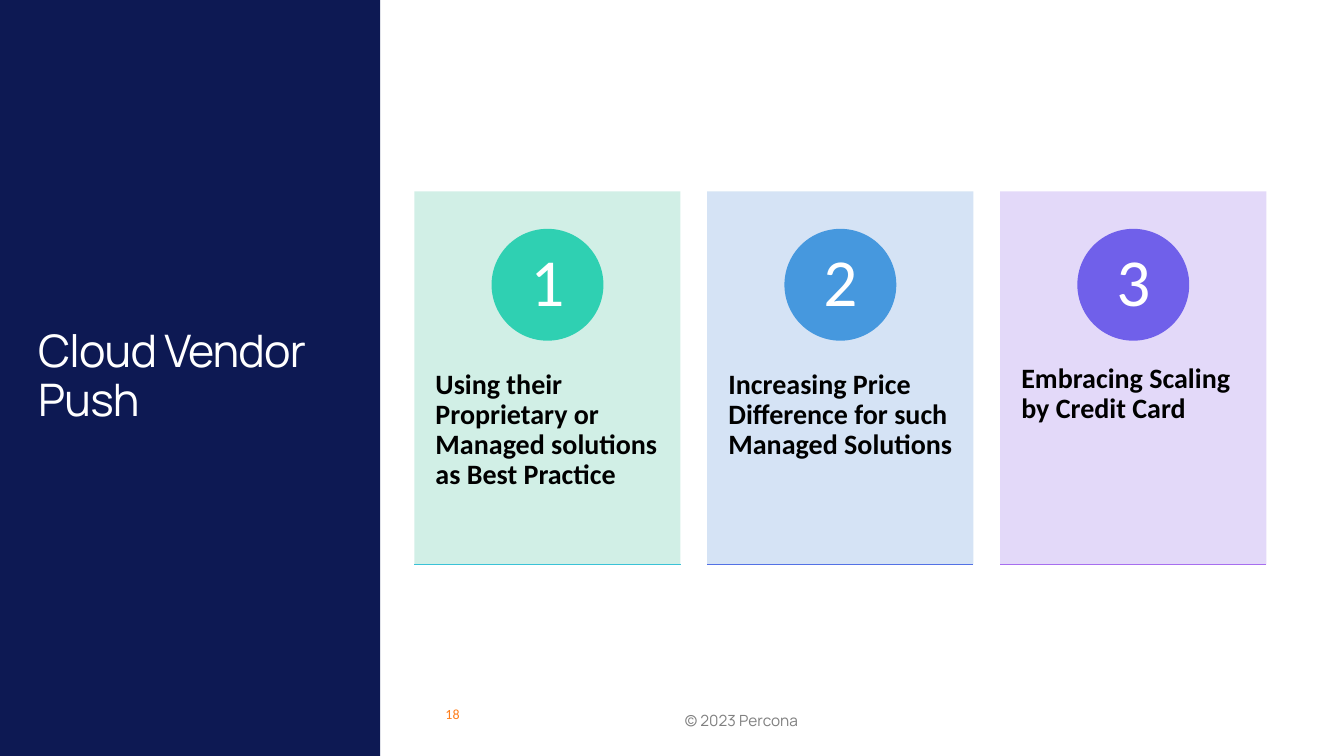
from lxml import etree
from pptx import Presentation
from pptx.dml.color import RGBColor
from pptx.enum.shapes import MSO_CONNECTOR as Connector, MSO_SHAPE as Shape
from pptx.enum.text import MSO_ANCHOR as Anchor, PP_ALIGN as Align
from pptx.oxml.ns import qn
from pptx.util import Inches, Pt

NAVY = RGBColor(0x0D, 0x19, 0x53)
WHITE = RGBColor(0xFF, 0xFF, 0xFF)
BLACK = RGBColor(0x00, 0x00, 0x00)
GRAY = RGBColor(0x80, 0x80, 0x80)
ORANGE = RGBColor(0xFF, 0x7E, 0x19)
MINT = RGBColor(0xCD, 0xEE, 0xE4)
GREEN = RGBColor(0x2F, 0xD0, 0xB2)
TEAL = RGBColor(0x3A, 0xC2, 0xD7)
PALE_BLUE = RGBColor(0xD1, 0xE1, 0xF4)
SKY = RGBColor(0x46, 0x98, 0xDE)
BLUE = RGBColor(0x53, 0x71, 0xE5)
LILAC = RGBColor(0xE1, 0xD5, 0xF9)
VIOLET = RGBColor(0x70, 0x60, 0xEA)
PURPLE = RGBColor(0xA7, 0x6E, 0xEF)

# Wording, card colour, badge colour, base line colour
CARDS = [
    ("Using their Proprietary or Managed solutions as Best Practice", MINT, GREEN, TEAL),
    ("Increasing Price Difference for such Managed Solutions", PALE_BLUE, SKY, BLUE),
    ("Embracing Scaling by Credit Card", LILAC, VIOLET, PURPLE),
]
CARD_LEFT, CARD_TOP, CARD_WIDTH, CARD_HEIGHT = 4.11, 1.9, 2.64, 3.7
CARD_STEP = 2.905
BADGE_SIZE, NUMBER_SIZE = 1.11, 0.78


class SlideBuilder:
    heading_font = "Manrope"
    body_font = "Calibri"
    line_width = Pt(0.85)

    def __init__(self, page):
        self.page = page

    def shape(self, kind, left, top, width, height, color, opacity=None):
        """Add a filled shape; opacity is a percentage."""
        shape = self.page.shapes.add_shape(
            kind, Inches(left), Inches(top), Inches(width), Inches(height))
        shape.shadow.inherit = False
        shape.fill.solid()
        shape.fill.fore_color.rgb = color
        shape.line.fill.background()
        if opacity:
            fill_color = shape.fill._xPr.find(qn("a:solidFill"))[0]
            etree.SubElement(fill_color, qn("a:alpha"), val=str(opacity * 1000))

    def rule(self, left, top, width, color):
        line = self.page.shapes.add_connector(
            Connector.STRAIGHT, Inches(left), Inches(top), Inches(left + width), Inches(top))
        line.line.color.rgb = color
        line.line.width = self.line_width
        etree.SubElement(line._element.spPr, qn("a:effectLst"))

    def text(self, words, left, top, width, height, size, color, font=body_font, bold=False,
             align=Align.LEFT, anchor=Anchor.TOP, insets=(0.1, 0.05), spacing=1.0, tracking=None):
        """Add a text box; insets are horizontal and vertical, tracking is in points."""
        box = self.page.shapes.add_textbox(
            Inches(left), Inches(top), Inches(width), Inches(height))
        frame = box.text_frame
        frame.word_wrap = True
        frame.vertical_anchor = anchor
        frame.margin_left = frame.margin_right = Inches(insets[0])
        frame.margin_top = frame.margin_bottom = Inches(insets[1])
        para = frame.paragraphs[0]
        para.alignment = align
        para.line_spacing = spacing
        span = para.add_run()
        span.text = words
        span.font.name = font
        span.font.size = Pt(size)
        span.font.bold = bold
        span.font.color.rgb = color
        if tracking:
            span._r.get_or_add_rPr().set("spc", str(round(tracking * 100)))

    def card(self, number, left, words, card_color, badge_color, base_color):
        self.shape(Shape.RECTANGLE, left, CARD_TOP, CARD_WIDTH, CARD_HEIGHT, card_color, 90)
        self.text(words, left, 3.31, CARD_WIDTH, 2.22, 20, BLACK, bold=True,
                  insets=(0.21, 0.36), spacing=0.9)
        center = left + CARD_WIDTH / 2
        self.shape(Shape.OVAL, center - BADGE_SIZE / 2, 2.27, BADGE_SIZE, BADGE_SIZE, badge_color)
        self.text(str(number), center - NUMBER_SIZE / 2, 2.43, NUMBER_SIZE, NUMBER_SIZE, 48, WHITE,
                  align=Align.CENTER, anchor=Anchor.MIDDLE, insets=(0.09, 0.01), spacing=0.9)
        self.rule(left, CARD_TOP + CARD_HEIGHT, CARD_WIDTH, base_color)


def main():
    deck = Presentation()
    deck.slide_width, deck.slide_height = Inches(13.33), Inches(7.5)
    builder = SlideBuilder(deck.slides.add_slide(deck.slide_layouts[6]))

    builder.shape(Shape.RECTANGLE, 0, 0, 3.77, 7.5, NAVY)
    builder.text("Cloud Vendor Push", 0.28, 1.23, 3.22, 5.03, 32, WHITE, builder.heading_font,
                 anchor=Anchor.MIDDLE, spacing=0.9, tracking=-0.6)
    builder.text("© 2023 Percona", 4.01, 6.95, 6.69, 0.4, 11, GRAY, builder.heading_font,
                 align=Align.CENTER, anchor=Anchor.MIDDLE)
    builder.text("18", 4.32, 6.95, 1.67, 0.4, 10, ORANGE)

    for index, content in enumerate(CARDS):
        builder.card(index + 1, CARD_LEFT + index * CARD_STEP, *content)

    deck.save("out.pptx")


if __name__ == "__main__":
    main()
